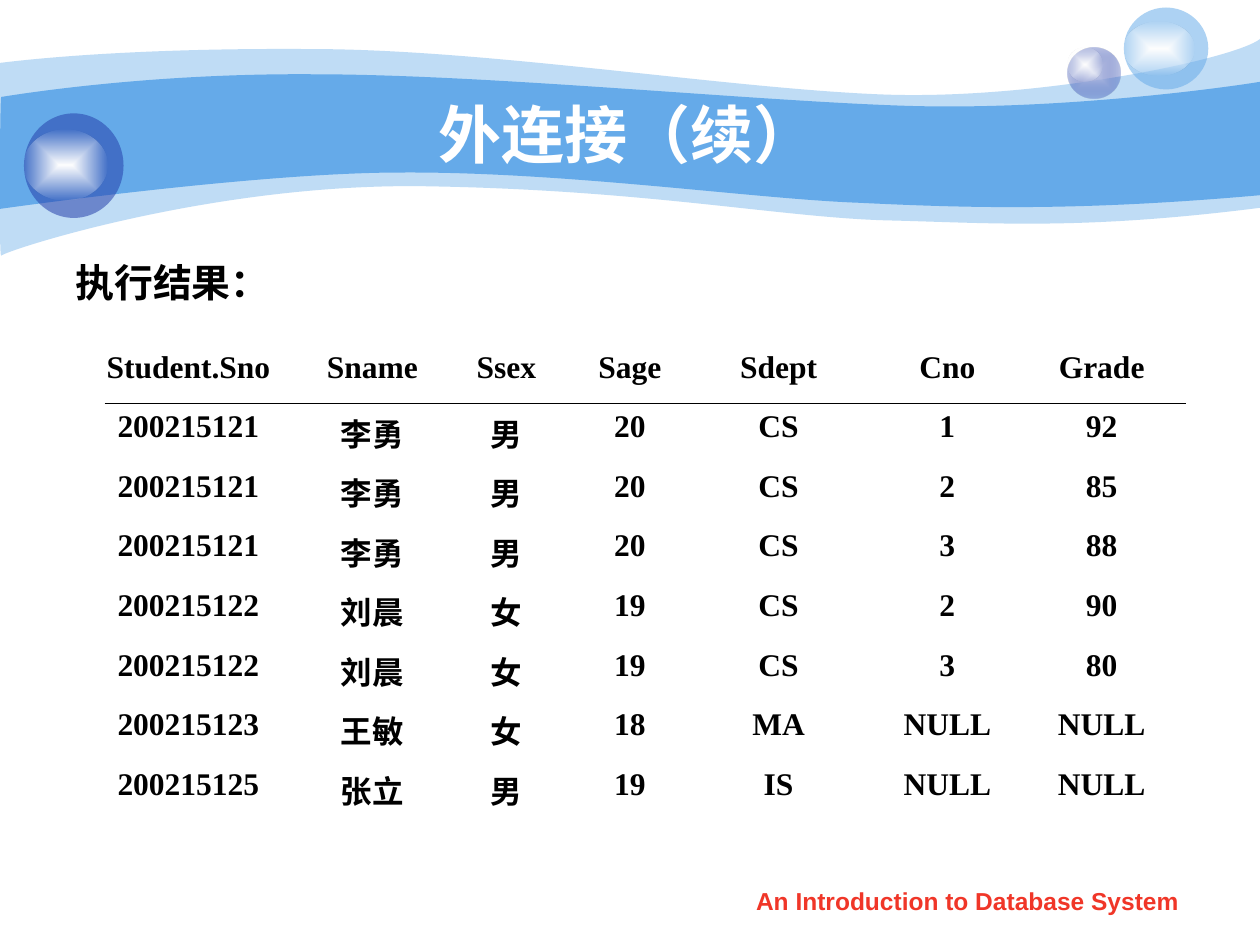
"""Build the outer join result slide with its wave banner and table."""
import lxml.etree
import pptx
import pptx.dml.color
import pptx.enum.shapes
import pptx.enum.text
import pptx.oxml
import pptx.oxml.ns
import pptx.util

Inches = pptx.util.Inches
RGBColor = pptx.dml.color.RGBColor
qn = pptx.oxml.ns.qn
CENTER = pptx.enum.text.PP_ALIGN.CENTER

SKY = RGBColor(0x65, 0xAA, 0xE9)
NAVY = RGBColor(0x23, 0x3D, 0xA9)
LAVENDER = RGBColor(0xC7, 0xCE, 0xE9)
RED = RGBColor(0xF0, 0x36, 0x28)
WHITE = RGBColor(0xFF, 0xFF, 0xFF)
BLACK = RGBColor(0, 0, 0)

OUTER_WAVE = [
    [(0, 0.5)],
    [(0.24, 0.47), (1.07, 0.38), (2.47, 0.39)],
    [(3.86, 0.39), (5.75, 0.7), (6.99, 0.75)],
    [(8.22, 0.8), (9.8, 0.47), (10, 0.31)],
    [(10, 1.65)],
    [(8.58, 1.83), (7.87, 1.77), (7.05, 1.75)],
    [(6.22, 1.73), (5.15, 1.51), (3.43, 1.48)],
    [(1.72, 1.44), (0.04, 1.99), (0.01, 2.03)],
    [(-0.01, 2.08), (0, 0.75), (0, 0.5)],
]
INNER_WAVE = [
    [(0.01, 0.77)],
    [(0.02, 0.77), (1.1, 0.58), (2.48, 0.59)],
    [(3.86, 0.59), (5.95, 0.8), (7.18, 0.84)],
    [(8.41, 0.88), (9.76, 0.69), (10, 0.65)],
    [(10, 1.55)],
    [(8.53, 1.68), (7.65, 1.65), (6.82, 1.61)],
    [(5.99, 1.58), (4.47, 1.36), (3.17, 1.37)],
    [(2.03, 1.37), (-0.02, 1.66), (-0.01, 1.66)],
    [(0, 1.66), (0, 0.77), (0.01, 0.77)],
]
COLUMN_WIDTHS = [1.81, 1.11, 1.02, 0.94, 1.42, 1.26, 1.19]
TABLE_HEIGHT = 3.78
RESULT = [
    ["Student.Sno", "Sname", "Ssex", "Sage", "Sdept", "Cno", "Grade"],
    ["200215121", "李勇", "男", "20", "CS", "1", "92"],
    ["200215121", "李勇", "男", "20", "CS", "2", "85"],
    ["200215121", "李勇", "男", "20", "CS", "3", "88"],
    ["200215122", "刘晨", "女", "19", "CS", "2", "90"],
    ["200215122", "刘晨", "女", "19", "CS", "3", "80"],
    ["200215123", "王敏", "女", "18", "MA", "NULL", "NULL"],
    ["200215125", "张立", "男", "19", "IS", "NULL", "NULL"],
]


def style_solid(shape, color, opacity=100):
    """Fill a shape with one colour, without line or shadow."""
    shape.shadow.inherit = False
    shape.line.fill.background()
    shape.fill.solid()
    shape.fill.fore_color.rgb = color
    if opacity < 100:
        fill_color = shape._element.spPr.find(qn("a:solidFill")).find(qn("a:srgbClr"))
        alpha = lxml.etree.SubElement(fill_color, qn("a:alpha"))
        alpha.set("val", str(opacity * 1000))


def style_glow(shape, center, edge, edge_opacity):
    """Fill a shape with a gradient from its center to a translucent edge."""
    style_solid(shape, center)
    gradient = pptx.oxml.parse_xml(
        f'<a:gradFill {pptx.oxml.ns.nsdecls("a")} rotWithShape="1"><a:gsLst>'
        f'<a:gs pos="0"><a:srgbClr val="{center}"/></a:gs>'
        f'<a:gs pos="100000"><a:srgbClr val="{edge}">'
        f'<a:alpha val="{edge_opacity * 1000}"/></a:srgbClr></a:gs></a:gsLst>'
        '<a:path path="rect"><a:fillToRect l="50000" t="50000" r="50000" b="50000"/>'
        '</a:path></a:gradFill>'
    )
    properties = shape._element.spPr
    properties.replace(properties.find(qn("a:solidFill")), gradient)


def add_wave(slide, segments, opacity=100):
    """Draw a closed band whose three-point segments are cubic curves."""
    points = [(Inches(x), Inches(y)) for segment in segments for x, y in segment]
    builder = slide.shapes.build_freeform(*points[0])
    builder.add_line_segments(points[1:], close=True)
    wave = builder.convert_to_shape()
    pieces = iter(list(wave._element.iter(qn("a:lnTo"))))
    for segment in segments[1:]:
        first, *others = [next(pieces) for _ in segment]
        if others:
            curve = lxml.etree.Element(qn("a:cubicBezTo"))
            first.addprevious(curve)
            for piece in (first, *others):
                curve.append(piece[0])
                piece.getparent().remove(piece)
    style_solid(wave, SKY, opacity)


def add_ellipse(slide, *box):
    """Add an ellipse in a box given in inches."""
    oval = pptx.enum.shapes.MSO_SHAPE.OVAL
    return slide.shapes.add_shape(oval, *map(Inches, box))


def add_banner(slide):
    """Draw the two waves and the three bubbles."""
    add_wave(slide, OUTER_WAVE, 41)
    add_wave(slide, INNER_WAVE)
    style_glow(add_ellipse(slide, 8.47, 0.38, 0.42, 0.4), LAVENDER, NAVY, 31)
    style_glow(add_ellipse(slide, 8.47, 0.38, 0.28, 0.27), WHITE, WHITE, 0)
    style_solid(add_ellipse(slide, 8.92, 0.06, 0.67, 0.65), SKY, 53)
    style_glow(add_ellipse(slide, 8.92, 0.17, 0.56, 0.43), WHITE, WHITE, 0)
    style_solid(add_ellipse(slide, 0.19, 0.9, 0.79, 0.83), NAVY, 53)
    style_glow(add_ellipse(slide, 0.19, 1.03, 0.66, 0.56), WHITE, WHITE, 0)


def write(frame, text, size, color, align=CENTER, font="Arial"):
    """Put one bold paragraph into a text frame."""
    frame.text = text
    frame.word_wrap = True
    paragraph = frame.paragraphs[0]
    paragraph.alignment = align
    paragraph.font.name = font
    paragraph.font.size = pptx.util.Pt(size)
    paragraph.font.bold = True
    paragraph.font.color.rgb = color


def add_title(slide, text):
    """Place the title over the banner."""
    title = slide.shapes.title
    slide.shapes._spTree.append(title._element)
    title.left, title.top, title.width, title.height = map(Inches, (1, 0.75, 8.08, 0.62))
    write(title.text_frame, text, 36, WHITE)
    title.text_frame.vertical_anchor = pptx.enum.text.MSO_ANCHOR.MIDDLE


def add_label(slide, box, *text_style):
    """Add a text box with one styled line."""
    write(slide.shapes.add_textbox(*map(Inches, box)).text_frame, *text_style)


def add_result_table(slide):
    """Add the query result as a plain table."""
    box = map(Inches, (0.59, 2.73, sum(COLUMN_WIDTHS), TABLE_HEIGHT))
    table = slide.shapes.add_table(len(RESULT), len(COLUMN_WIDTHS), *box).table
    table.first_row = table.horz_banding = False
    for column, width in zip(table.columns, COLUMN_WIDTHS):
        column.width = Inches(width)
    for row, values in zip(table.rows, RESULT):
        row.height = Inches(TABLE_HEIGHT / len(RESULT))
        for cell, value in zip(row.cells, values):
            cell.fill.background()
            write(cell.text_frame, value, 18, BLACK, font="Times New Roman")


def add_header_rule(slide):
    """Draw the line under the table header."""
    straight = pptx.enum.shapes.MSO_CONNECTOR.STRAIGHT
    rule = slide.shapes.add_connector(straight, *map(Inches, (0.83, 3.2, 9.41, 3.2)))
    rule.line.color.rgb = BLACK
    rule.line.width = pptx.util.Pt(0.75)
    lxml.etree.SubElement(rule._element.spPr, qn("a:effectLst"))


def main():
    """Build and save the slide."""
    deck = pptx.Presentation()
    deck.slide_width, deck.slide_height = Inches(10), Inches(7.5)
    slide = deck.slides.add_slide(deck.slide_layouts[5])
    add_banner(slide)
    add_label(slide, (5.71, 6.98, 3.94, 0.35), "An Introduction to Database System", 14, RED)
    add_title(slide, "外连接（续） ")
    justify = pptx.enum.text.PP_ALIGN.JUSTIFY
    add_label(slide, (0.5, 2, 4.42, 0.49), "执行结果： ", 22.2, BLACK, justify)
    add_result_table(slide)
    add_header_rule(slide)
    deck.save("out.pptx")


if __name__ == "__main__":
    main()
